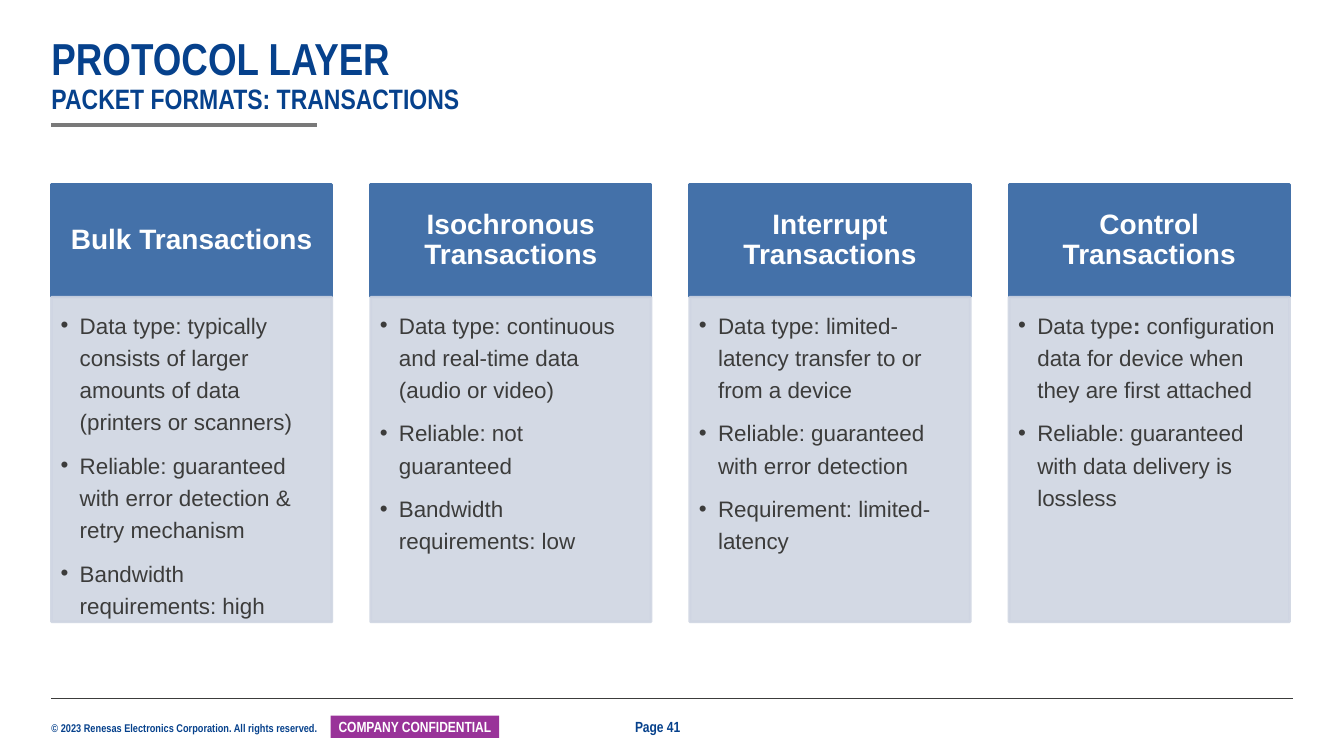
from lxml import etree
from pptx import Presentation
from pptx import util as u
from pptx.dml.color import RGBColor
from pptx.enum import shapes, text
from pptx.oxml.ns import qn

COLORS = {"navy": "06418C", "blue": "4471A9", "pale": "CFD5E2", "ink": "3C3C3B",
          "gray": "797979", "purple": "993399", "white": "FFFFFF"}
LEFT, COL_PITCH, COL_WIDTH = 3.83, 23.75, 20.86  # percent of slide width
HEAD_TOP, HEAD_HEIGHT = 24.4, 14.87  # percent of slide height
BODY_TOP, BODY_HEIGHT = 39.33, 42.93

# A bullet is a list of (text, bold) runs
CARDS = [
    ("Bulk Transactions", [
        [("Data type: typically consists of larger amounts of data (printers or scanners)", False)],
        [("Reliable: guaranteed with error detection & retry mechanism", False)],
        [("Bandwidth requirements: high", False)]]),
    ("Isochronous Transactions", [
        [("Data type: continuous and real-time data (audio or video)", False)],
        [("Reliable: not guaranteed", False)],
        [("Bandwidth requirements: low", False)]]),
    ("Interrupt Transactions", [
        [("Data type: limited-latency transfer to or from a device", False)],
        [("Reliable: guaranteed with error detection", False)],
        [("Requirement: limited-latency", False)]]),
    ("Control Transactions", [
        [("Data type", False), (": ", True),
         ("configuration data for device when they are first attached", False)],
        [("Reliable: guaranteed with data delivery is lossless", False)]]),
]


class Deck:
    """Holds the style and current slide; positions are percentages of the slide."""

    def __init__(self):
        self.prs = Presentation()
        self.prs.slide_width, self.prs.slide_height = u.Inches(13.33), u.Inches(7.5)
        self.s = self.prs.slides.add_slide(self.prs.slide_layouts[5])

    def x(self, share):
        return round(self.prs.slide_width * share / 100)

    def y(self, share):
        return round(self.prs.slide_height * share / 100)

    def area(self, left, top, width, height):
        return self.x(left), self.y(top), self.x(width), self.y(height)

    def color(self, name):
        return RGBColor.from_string(COLORS[name])

    def frame(self, sp, insets, anchor, wrap=True):
        tf = sp.text_frame
        tf.auto_size = text.MSO_AUTO_SIZE.NONE
        tf.word_wrap, tf.vertical_anchor = wrap, anchor
        tf.margin_left, tf.margin_top, tf.margin_right, tf.margin_bottom = map(u.Inches, insets)
        return tf

    def style(self, r, size, color, bold=True, font="Arial Narrow"):
        r.font.name, r.font.size, r.font.bold = font, u.Pt(size), bold
        r.font.color.rgb = self.color(color)

    def title(self, heading, subheading):
        sp = self.s.shapes.title
        sp.left, sp.top, sp.width, sp.height = self.area(LEFT, 4.8, 92.27, 10.53)
        tf = self.frame(sp, (0, 0, 0, 0), text.MSO_ANCHOR.BOTTOM)
        tf.text = f"{heading}\v{subheading}"
        p = tf.paragraphs[0]
        p.alignment, p.line_spacing = text.PP_ALIGN.LEFT, 0.9
        for r, size in zip(p.runs, (32, 20)):
            self.style(r, size, "navy")

    def label(self, words, area, size, insets=(0, 0, 0, 0)):
        sp = self.s.shapes.add_textbox(*self.area(*area))
        tf = self.frame(sp, insets, text.MSO_ANCHOR.TOP, wrap=False)
        tf.text = words
        self.style(tf.paragraphs[0].runs[0], size, "navy")

    def rule(self, left, right, top, color, weight):
        line = self.s.shapes.add_connector(shapes.MSO_CONNECTOR.STRAIGHT, self.x(left),
                                           self.y(top), self.x(right), self.y(top))
        line.line.color.rgb, line.line.width = self.color(color), u.Pt(weight)
        etree.SubElement(line._element.spPr, qn("a:effectLst"))

    def panel(self, area, color, outline=0, opacity=100):
        sp = self.s.shapes.add_shape(shapes.MSO_SHAPE.RECTANGLE, *self.area(*area))
        sp.shadow.inherit = False
        sp.fill.solid()
        sp.fill.fore_color.rgb = self.color(color)
        if outline:
            sp.line.color.rgb, sp.line.width = self.color(color), u.Pt(outline)
        else:
            sp.line.fill.background()
        if opacity < 100:
            for clr in sp._element.spPr.iter(qn("a:srgbClr")):
                etree.SubElement(clr, qn("a:alpha"), val=str(opacity * 1000))
        return sp

    def banner(self, words, area, color, size, insets, font="Arial Narrow", outline=0, spacing=1.0):
        """Filled rectangle with centred white bold text."""
        tf = self.frame(self.panel(area, color, outline), insets, text.MSO_ANCHOR.MIDDLE)
        tf.text = words
        p = tf.paragraphs[0]
        p.alignment, p.line_spacing = text.PP_ALIGN.CENTER, spacing
        self.style(p.runs[0], size, "white", font=font)

    def bullets(self, items, area):
        sp = self.panel(area, "pale", outline=2, opacity=90)
        tf = self.frame(sp, (0.09, 0.09, 0.12, 0.14), text.MSO_ANCHOR.TOP)
        for i, runs in enumerate(items):
            p = tf.add_paragraph() if i else tf.paragraphs[0]
            pPr = p._p.get_or_add_pPr()
            pPr.set("marL", str(u.Inches(0.19)))
            pPr.set("indent", str(-u.Inches(0.19)))
            etree.SubElement(pPr, qn("a:buFont"), typeface="Arial")
            etree.SubElement(pPr, qn("a:buChar"), char="•")
            p.alignment, p.line_spacing, p.space_after = text.PP_ALIGN.LEFT, 1.2, u.Pt(8)
            for words, bold in runs:
                r = p.add_run()
                r.text = words
                self.style(r, 16, "ink", bold, "Arial")

    def card(self, col, heading, items):
        left = LEFT + col * COL_PITCH
        self.banner(heading, (left, HEAD_TOP, COL_WIDTH, HEAD_HEIGHT), "blue", 20,
                    (0.16, 0.09, 0.16, 0.09), font="Arial", outline=2, spacing=0.9)
        self.bullets(items, (left, BODY_TOP, COL_WIDTH, BODY_HEIGHT))


def main():
    deck = Deck()
    deck.label("© 2023 Renesas Electronics Corporation. All rights reserved.",
               (LEFT, 95.47, 20.11, 1.73), 8)
    deck.rule(LEFT, 96.17, 92.4, "ink", 0.5)
    deck.banner("COMPANY CONFIDENTIAL", (24.61, 94.67, 12.53, 2.93), "purple", 10.5,
                (0.04, 0, 0.04, 0))
    deck.rule(LEFT, 23.56, 16.53, "gray", 3)
    deck.label("Page 41", (46.51, 94.27, 5.03, 3.73), 10.5, (0.1, 0.05, 0.1, 0.05))
    deck.title("PROTOCOL LAYER", "PACKET FORMATS: TRANSACTIONS")
    for col, (heading, items) in enumerate(CARDS):
        deck.card(col, heading, items)
    deck.prs.save("out.pptx")


if __name__ == "__main__":
    main()
